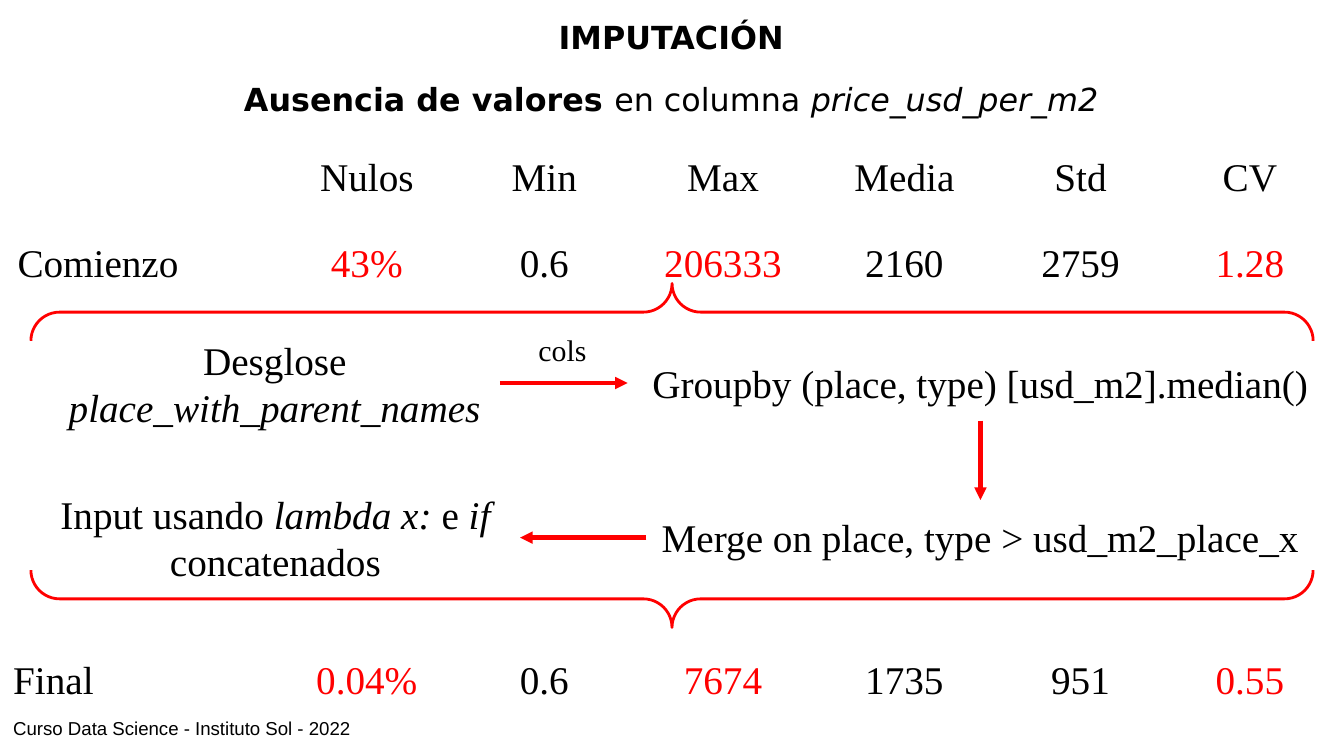
from dataclasses import dataclass

from lxml.etree import SubElement
from pptx import Presentation
from pptx.dml.color import RGBColor
from pptx.enum.shapes import MSO_CONNECTOR, MSO_SHAPE
from pptx.enum.text import MSO_AUTO_SIZE as AutoSize, PP_ALIGN as Align
from pptx.oxml.ns import qn
from pptx.util import Inches, Pt


@dataclass(frozen=True)
class Theme:
    ink: RGBColor = RGBColor(0x00, 0x00, 0x00)
    accent: RGBColor = RGBColor(0xFF, 0x00, 0x00)
    title_font: str = "DejaVu Sans"
    body_font: str = "Times New Roman"
    footer_font: str = "Arial"
    title_size: int = 17
    body_size: int = 21
    label_size: int = 16
    footer_size: int = 10
    brace_width: float = 1.5
    arrow_width: float = 2.25


THEME = Theme()
BOLD, ITALIC = "bold", "italic"
TOP, LEFT, BOTTOM, RIGHT = range(4)

COLUMN_CENTERS = (2.73, 4.05, 5.38, 6.73, 8.04, 9.3)
CELL_HEIGHT = 0.56
CELL_WIDTHS = {5: 1.03, 6: 1.2}  # by number of characters
NARROW_CELL = 0.8
ROW_LABEL_WIDTH = 1.46
HIGHLIGHTED_COLUMNS = (0, 2, 5)

HEADERS = ("Nulos", "Min", "Max", "Media", "Std", "CV")
START_VALUES = ("43%", "0.6", "206333", "2160", "2759", "1.28")
FINAL_VALUES = ("0.04%", "0.6", "7674", "1735", "951", "0.55")


def add_text(shapes, box, paragraphs, font=THEME.body_font, size=THEME.body_size,
             color=THEME.ink, align=Align.CENTER):
    """Add a text box; each paragraph is a list of (text, *styles) runs."""
    shape = shapes.add_textbox(*(Inches(length) for length in box))
    frame = shape.text_frame
    frame.word_wrap = True
    frame.auto_size = AutoSize.SHAPE_TO_FIT_TEXT
    frame.margin_left = frame.margin_right = Inches(0.1)
    frame.margin_top = frame.margin_bottom = Inches(0.1)
    for index, runs in enumerate(paragraphs):
        paragraph = frame.add_paragraph() if index else frame.paragraphs[0]
        paragraph.alignment = align
        for text, *styles in runs:
            run = paragraph.add_run()
            run.text = text
            run.font.name = font
            run.font.size = Pt(size)
            run.font.color.rgb = color
            run.font.bold = BOLD in styles
            run.font.italic = ITALIC in styles
    return shape


def add_title(slide):
    shape = add_text(slide.shapes, (0.43, -0.01, 9.13, 0.96), [
        [("IMPUTACIÓN", BOLD)],
        [("Ausencia de valores ", BOLD), ("en columna ",),
         ("price_usd_per_m2", ITALIC)],
    ], font=THEME.title_font, size=THEME.title_size)
    for paragraph in shape.text_frame.paragraphs:
        paragraph.line_spacing = 1.15
        paragraph.space_before = Pt(10)
    paragraph.space_after = Pt(10)


def add_row(slide, top, values, label=None, label_align=Align.CENTER, highlighted=()):
    """Add one grouped row of figures, centred on the shared columns."""
    shapes = slide.shapes.add_group_shape().shapes
    if label:
        add_text(shapes, (0, top, ROW_LABEL_WIDTH, CELL_HEIGHT), [[(label,)]],
                 align=label_align)
    for column, (center, value) in enumerate(zip(COLUMN_CENTERS, values)):
        width = CELL_WIDTHS.get(len(value), NARROW_CELL)
        color = THEME.accent if column in highlighted else THEME.ink
        add_text(shapes, (center - width / 2, top, width, CELL_HEIGHT),
                 [[(value,)]], color=color)


def add_braces(slide, left, top, width, height):
    """Add a brace pair turned a quarter, so that it opens above and below."""
    shape = slide.shapes.add_shape(
        MSO_SHAPE.DOUBLE_BRACE,
        Inches(left + (width - height) / 2), Inches(top + (height - width) / 2),
        Inches(height), Inches(width))
    shape.rotation = 90
    shape.shadow.inherit = False
    shape.fill.background()
    shape.line.color.rgb = THEME.accent
    shape.line.width = Pt(THEME.brace_width)


def add_arrow(slide, start, start_side, end, end_side):
    arrow = slide.shapes.add_connector(MSO_CONNECTOR.STRAIGHT, 0, 0, 0, 0)
    arrow.begin_connect(start, start_side)
    arrow.end_connect(end, end_side)
    arrow.line.color.rgb = THEME.accent
    arrow.line.width = Pt(THEME.arrow_width)
    properties = arrow._element.spPr
    SubElement(properties.get_or_add_ln(), qn("a:tailEnd"), type="triangle")
    SubElement(properties, qn("a:effectLst"))


def add_process(slide):
    shapes = slide.shapes
    split = add_text(shapes, (0.37, 2.4, 3.35, 0.9), [
        [("Desglose",)], [("place_with_parent_names", ITALIC)]])
    group = add_text(shapes, (4.67, 2.57, 5.25, CELL_HEIGHT), [
        [("Groupby (place, type) [usd_m2].median()",)]])
    merge = add_text(shapes, (4.81, 3.72, 4.97, CELL_HEIGHT), [
        [("Merge on place, type > usd_m2_place_x",)]])
    fill_in = add_text(shapes, (0.23, 3.55, 3.64, 0.9), [
        [("Input usando ",), ("lambda x:", ITALIC), (" e ",), ("if", ITALIC),
         (" concatenados",)]])
    add_arrow(slide, split, RIGHT, group, LEFT)
    add_arrow(slide, group, BOTTOM, merge, TOP)
    add_arrow(slide, merge, LEFT, fill_in, RIGHT)
    add_text(shapes, (3.85, 2.37, 0.67, 0.47), [[("cols",)]], size=THEME.label_size)


def main():
    presentation = Presentation()
    presentation.slide_width = Inches(10)
    presentation.slide_height = presentation.slide_width * 9 // 16
    slide = presentation.slides.add_slide(presentation.slide_layouts[6])

    add_braces(slide, 0.23, 2.11, 9.54, 2.56)
    add_title(slide)
    add_text(slide.shapes, (0, 5.25, 2.83, 0.37),
             [[("Curso Data Science - Instituto Sol - 2022",)]],
             font=THEME.footer_font, size=THEME.footer_size, align=Align.LEFT)
    add_row(slide, 1.03, HEADERS)
    add_row(slide, 1.67, START_VALUES, "Comienzo", highlighted=HIGHLIGHTED_COLUMNS)
    add_row(slide, 4.78, FINAL_VALUES, "Final", Align.LEFT, HIGHLIGHTED_COLUMNS)
    add_process(slide)

    presentation.save("out.pptx")


if __name__ == "__main__":
    main()
